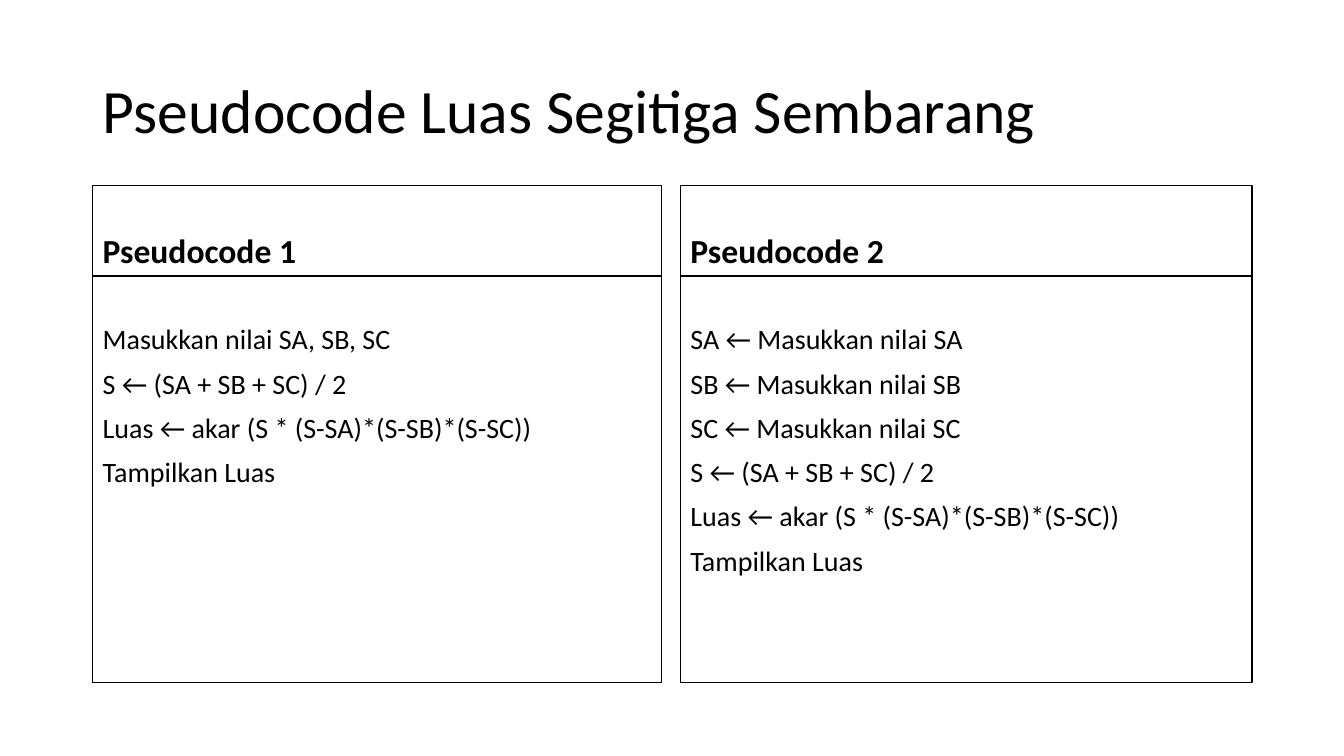
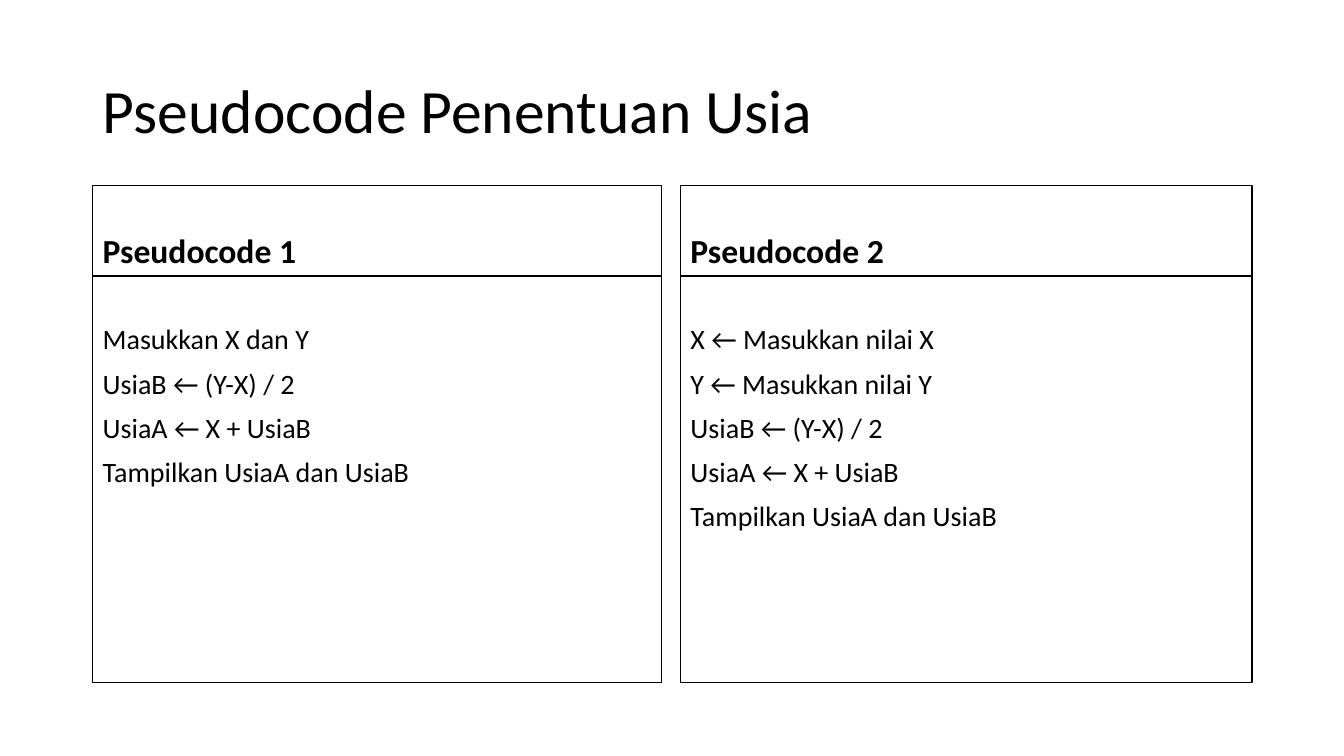
from dataclasses import dataclass

from pptx import Presentation
from pptx.dml.color import RGBColor
from pptx.enum.shapes import MSO_SHAPE
from pptx.enum.text import MSO_ANCHOR, MSO_AUTO_SIZE, PP_ALIGN
from pptx.util import Inches, Pt

RECTANGLE = MSO_SHAPE.RECTANGLE
TOP, MIDDLE, BOTTOM = MSO_ANCHOR.TOP, MSO_ANCHOR.MIDDLE, MSO_ANCHOR.BOTTOM
LEFT = PP_ALIGN.LEFT
NO_AUTOFIT = MSO_AUTO_SIZE.NONE
TITLE_ONLY_LAYOUT = 5


@dataclass(frozen=True)
class Theme:
    font: str = "Calibri"
    ink: RGBColor = RGBColor(0, 0, 0)
    paper: RGBColor = RGBColor(255, 255, 255)
    title_size: int = 44
    heading_size: int = 24
    body_size: int = 20
    line_spacing: float = 0.9
    paragraph_gap: int = 10
    outline_width: int = 1


THEME = Theme()

TITLE_BOX = (0.92, 0.4, 11.5, 1.45)
COLUMNS = ((0.92, 5.64), (6.75, 5.67))  # left, width
HEADING_TOP, HEADING_HEIGHT = 1.84, 0.9
BODY_TOP, BODY_HEIGHT = HEADING_TOP + HEADING_HEIGHT, 4.03
BODY_INSET = 0.49  # leaves one line free above the steps

AREA_STEPS = [
    "S ← (SA + SB + SC) / 2",
    "Luas ← akar (S * (S-SA)*(S-SB)*(S-SC))",
    "Tampilkan Luas",
]
AGE_STEPS = [
    "UsiaB ← (Y-X) / 2",
    "UsiaA ← X + UsiaB",
    "Tampilkan UsiaA dan UsiaB",
]


def input_steps(*names):
    return [f"{name} ← Masukkan nilai {name}" for name in names]


SLIDES = [
    (
        "Pseudocode Luas Segitiga Sembarang",
        ["Masukkan nilai SA, SB, SC"] + AREA_STEPS,
        input_steps("SA", "SB", "SC") + AREA_STEPS,
    ),
    (
        "Pseudocode Penentuan Usia",
        ["Masukkan X dan Y"] + AGE_STEPS,
        input_steps("X", "Y") + AGE_STEPS,
    ),
]


def write_text(shape, lines, size, anchor, bold=False, top_inset=0.05):
    frame = shape.text_frame
    frame.word_wrap = True
    frame.auto_size = NO_AUTOFIT
    frame.vertical_anchor = anchor
    frame.margin_top = Inches(top_inset)
    for index, line in enumerate(lines):
        paragraph = frame.add_paragraph() if index else frame.paragraphs[0]
        paragraph.alignment = LEFT
        paragraph.line_spacing = THEME.line_spacing
        paragraph.space_before = Pt(THEME.paragraph_gap if index else 0)
        run = paragraph.add_run()
        run.text = line
        run.font.name = THEME.font
        run.font.size = Pt(size)
        run.font.bold = bold
        run.font.color.rgb = THEME.ink


def add_title(slide, text):
    title = slide.shapes.title
    title.left, title.top, title.width, title.height = map(Inches, TITLE_BOX)
    write_text(title, [text], THEME.title_size, MIDDLE)


def add_box(slide, left, top, width, height):
    box = slide.shapes.add_shape(RECTANGLE, *map(Inches, (left, top, width, height)))
    box.shadow.inherit = False
    box.fill.solid()
    box.fill.fore_color.rgb = THEME.paper
    box.line.color.rgb = THEME.ink
    box.line.width = Pt(THEME.outline_width)
    return box


def add_panel(slide, column, heading, steps):
    """Add a heading box with a box of pseudocode steps below it."""
    left, width = column
    heading_box = add_box(slide, left, HEADING_TOP, width, HEADING_HEIGHT)
    write_text(heading_box, [heading], THEME.heading_size, BOTTOM, bold=True)
    body_box = add_box(slide, left, BODY_TOP, width, BODY_HEIGHT)
    write_text(body_box, steps, THEME.body_size, TOP, top_inset=BODY_INSET)


def main():
    presentation = Presentation()
    presentation.slide_width = Inches(13.33)
    presentation.slide_height = Inches(7.5)
    layout = presentation.slide_layouts[TITLE_ONLY_LAYOUT]
    for title, *panels in SLIDES:
        slide = presentation.slides.add_slide(layout)
        add_title(slide, title)
        for number, (column, steps) in enumerate(zip(COLUMNS, panels), start=1):
            add_panel(slide, column, f"Pseudocode {number}", steps)
    presentation.save("out.pptx")


if __name__ == "__main__":
    main()
